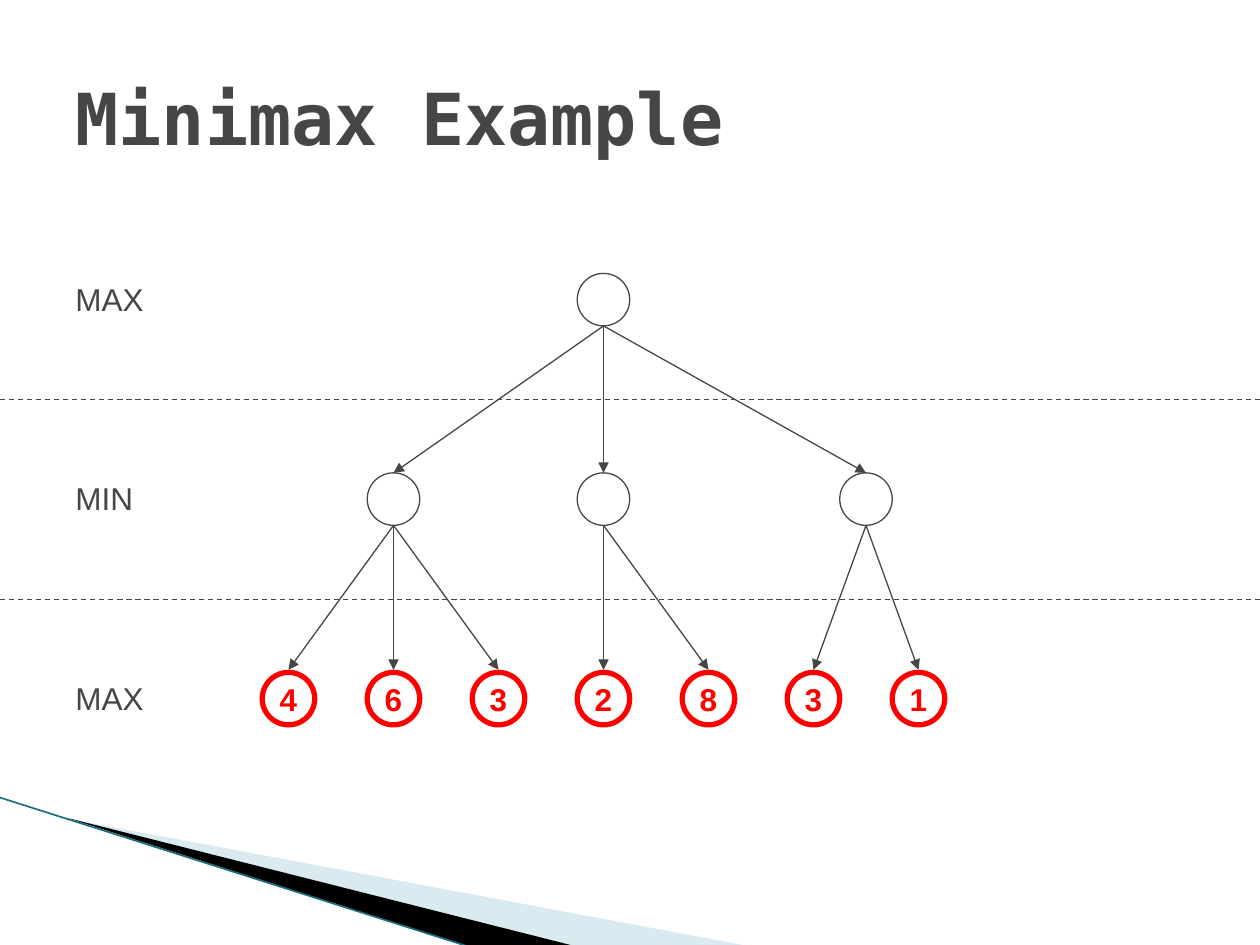
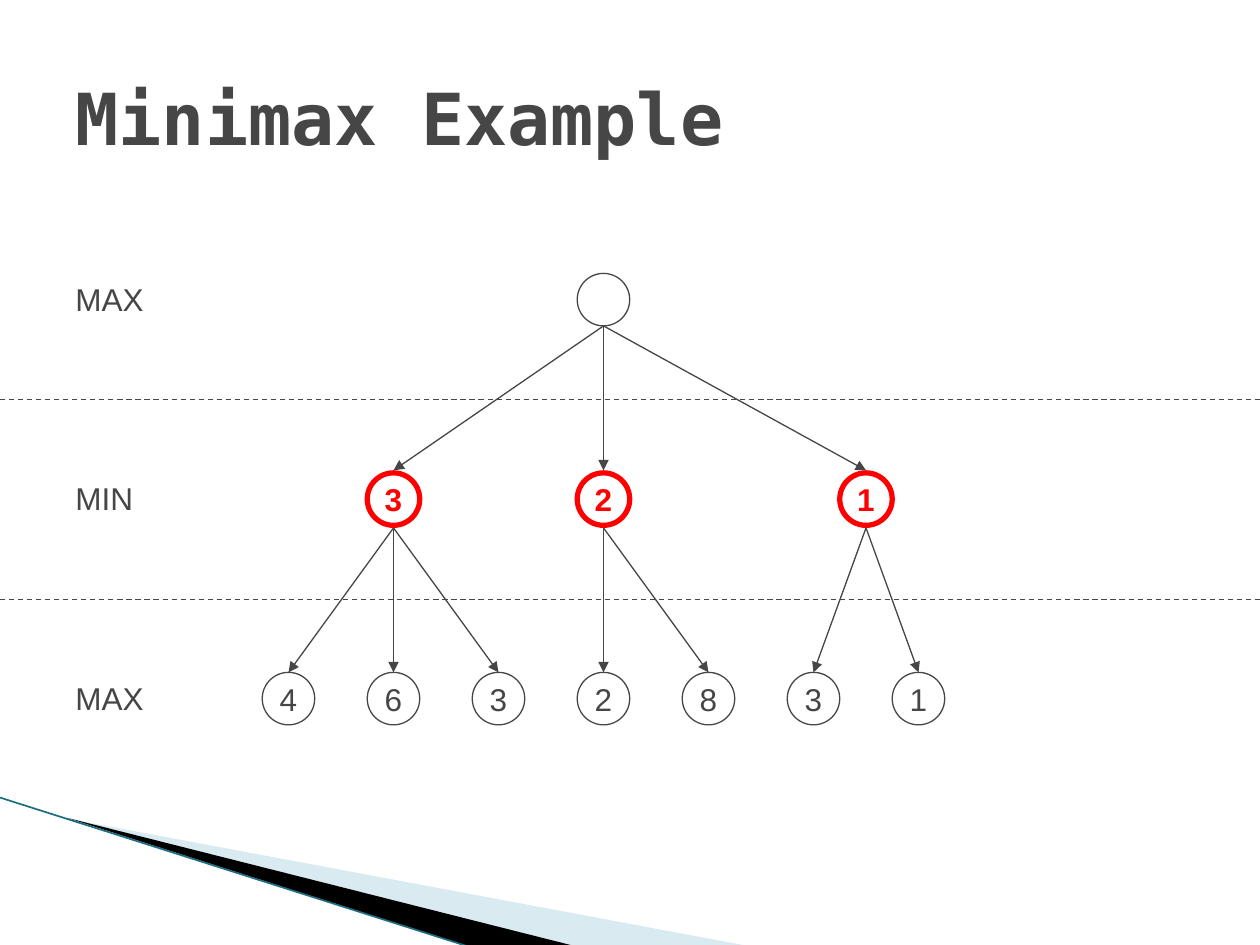
from lxml.etree import SubElement as Sub
from pptx import Presentation
from pptx.dml.color import RGBColor as Rgb
from pptx.enum.dml import MSO_LINE as Dash
from pptx.enum.shapes import MSO_CONNECTOR as Link, MSO_SHAPE as Shape
from pptx.enum.text import MSO_ANCHOR as Anchor, MSO_AUTO_SIZE as Fit, PP_ALIGN as Align
from pptx.oxml.ns import qn
from pptx.util import Inches, Pt

HEX = {"ink": "464646", "hot": "FF0000", "white": "FFFFFF",
       "pale": "A0CBDC", "black": "000000", "teal": "1B6E80"}
SANS, MONO = "Arial", "DejaVu Sans Mono"
LEFT, TOP = 2.29, 2.17
GAP, STEP = 5 / 6, 19 / 12
SIZE = 5 / 12
THIN, THICK = 0.75, 3
COLS = [[3], [1, 3, 5.5], range(7)]
ROOTS = [[], [0, 0, 0], [0, 0, 0, 1, 1, 2, 2]]
LABELS = [("MAX", 0.74), ("MIN", 0.66), ("MAX", 0.74)]
LEAVES = "4632831"


def tint(name):
    return Rgb.from_string(HEX[name])


def style(para, size, name, face=SANS, bold=False):
    font = para.font
    font.size, font.name, font.bold = Pt(size), face, bold
    font.color.rgb = tint(name)


def title(slide, text):
    box = slide.shapes.title
    box.left, box.top, box.width, box.height = map(Inches, (0.5, 0.3, 9, 1.25))
    frame = box.text_frame
    frame.text = text
    frame.auto_size = Fit.NONE
    frame.vertical_anchor = Anchor.MIDDLE
    para = frame.paragraphs[0]
    para.alignment = Align.LEFT
    style(para, 41, "ink", MONO, True)


def line(slide, start, end, name="ink", width=THIN, dash=False, arrow=False):
    link = slide.shapes.add_connector(Link.STRAIGHT, *map(Inches, (*start, *end)))
    link.line.color.rgb = tint(name)
    link.line.width = Pt(width)
    if dash:
        link.line.dash_style = Dash.DASH
    if arrow:
        Sub(link.line._get_or_add_ln(), qn("a:tailEnd"), type="triangle")
    Sub(link._element.spPr, qn("a:effectLst"))


def wedge(slide, points, name, alpha=None):
    first, *rest = [(Inches(x), Inches(y)) for x, y in points]
    path = slide.shapes.build_freeform(*first)
    path.add_line_segments(rest)
    shape = path.convert_to_shape()
    shape.shadow.inherit = False
    shape.fill.solid()
    shape.fill.fore_color.rgb = tint(name)
    shape.line.fill.background()
    if alpha:
        color = shape._element.spPr.find(".//" + qn("a:srgbClr"))
        Sub(color, qn("a:alpha"), val=str(alpha * 1000))


def band(slide):
    wedge(slide, [(0.55, 6.5), (5.95, 7.51), (4.56, 7.51)], "pale", 40)
    wedge(slide, [(0.53, 6.49), (4.57, 7.51), (3.72, 7.51)], "black")
    line(slide, (0, 6.33), (3.71, 7.51), "teal", 0.95)


def place(row, col):
    return LEFT + GAP * col, TOP + STEP * row


def node(slide, row, col, text, hot):
    x, y = place(row, col)
    disc = slide.shapes.add_shape(
        Shape.OVAL, *map(Inches, (x - SIZE / 2, y, SIZE, SIZE)))
    disc.shadow.inherit = False
    disc.fill.solid()
    disc.fill.fore_color.rgb = tint("white")
    name = "hot" if hot else "ink"
    disc.line.color.rgb = tint(name)
    disc.line.width = Pt(THICK if hot else THIN)
    if text:
        frame = disc.text_frame
        frame.text = text
        frame.word_wrap = False
        frame.vertical_anchor = Anchor.MIDDLE
        para = frame.paragraphs[0]
        para.alignment = Align.CENTER
        style(para, 18, name, bold=hot)


def edge(slide, row, root, col, hot):
    x, y = place(row - 1, root)
    end, foot = place(row, col)
    head = y + SIZE + (0.02 if hot == row - 1 else 0)
    line(slide, (x, head), (end, foot - (0.02 if hot == row else 0)), arrow=True)


def label(slide, row, text, width):
    box = slide.shapes.add_textbox(
        *map(Inches, (0.5, TOP + STEP * row, width, 0.4)))
    frame = box.text_frame
    frame.text = text
    frame.word_wrap = False
    frame.auto_size = Fit.SHAPE_TO_FIT_TEXT
    style(frame.paragraphs[0], 18, "ink")


def tree(slide, values, hot):
    for row, cols in enumerate(COLS):
        for col, text in zip(cols, values[row]):
            node(slide, row, col, text.strip(), row == hot)
    for row, roots in enumerate(ROOTS):
        for root, col in zip(roots, COLS[row]):
            edge(slide, row, COLS[row - 1][root], col, hot)
    for row in (1, 2):
        y = TOP - 0.58 + STEP * row
        line(slide, (0, y), (10, y), dash=True)
    for row, (text, width) in enumerate(LABELS):
        label(slide, row, text, width)


def main():
    deck = Presentation()
    deck.slide_width, deck.slide_height = Inches(10), Inches(7.5)
    for mids, hot in (([""] * 3, 2), ("321", 1)):
        slide = deck.slides.add_slide(deck.slide_layouts[5])
        band(slide)
        title(slide, "Minimax Example")
        tree(slide, [[""], mids, LEAVES], hot)
    deck.save("out.pptx")


if __name__ == "__main__":
    main()
